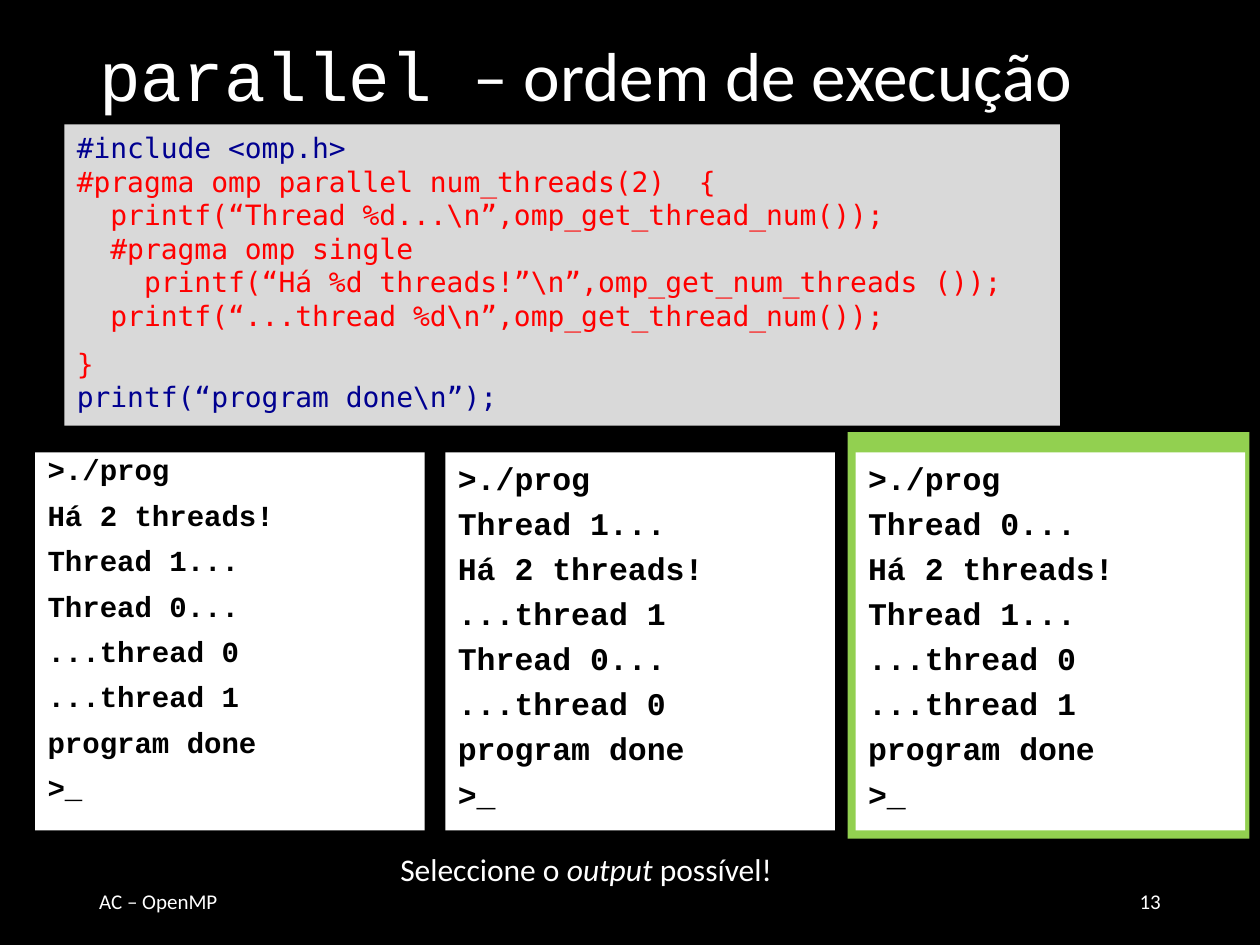
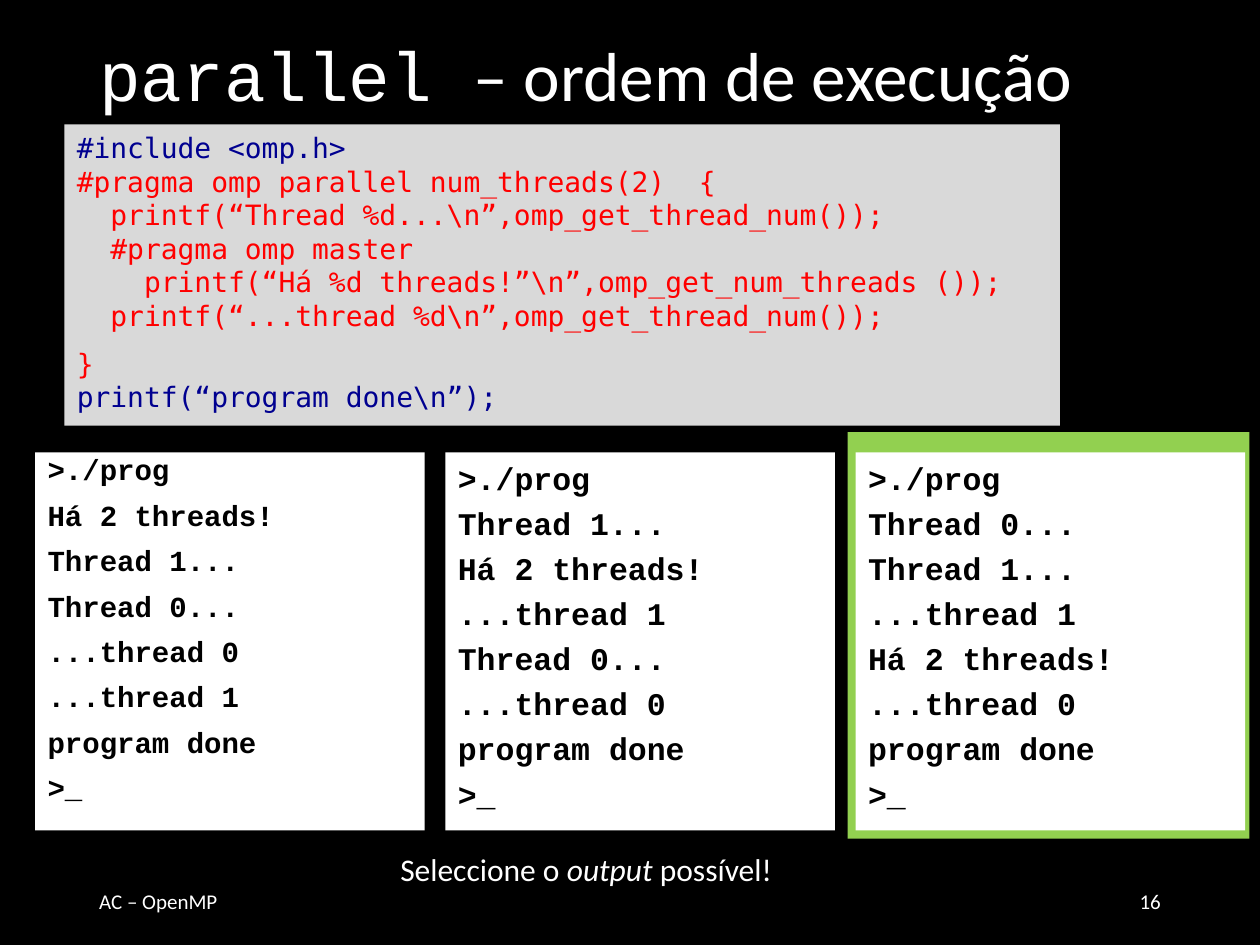
from pptx import Presentation
from pptx import util as u
from pptx.dml.color import RGBColor
from pptx.enum import shapes, text

BLACK = RGBColor(0x00, 0x00, 0x00)
WHITE = RGBColor(0xFF, 0xFF, 0xFF)
GREY = RGBColor(0xD9, 0xD9, 0xD9)
GREEN = RGBColor(0x92, 0xD0, 0x50)
NAVY = RGBColor(0x00, 0x00, 0x90)
RED = RGBColor(0xFF, 0x00, 0x00)

SANS, COURIER, MONO = "Calibri", "Courier New", "DejaVu Sans Mono"

# Content: page number, directive and output of the right-hand answer
SLIDES = [
    ("13", "single", ["Thread 0...", "Há 2 threads!", "Thread 1...",
                      "...thread 0", "...thread 1"]),
    ("16", "master", ["Thread 0...", "Thread 1...", "...thread 1",
                      "Há 2 threads!", "...thread 0"]),
]
WRONG_OUTPUTS = [
    ["Há 2 threads!", "Thread 1...", "Thread 0...", "...thread 0", "...thread 1"],
    ["Thread 1...", "Há 2 threads!", "...thread 1", "Thread 0...", "...thread 0"],
]
FIRST_LINE, LAST_LINES = ">./prog", ["program done", ">_"]
TITLE = [("parallel ", {"name": COURIER}), ("– ordem de execução", {"name": SANS})]
PROMPT = [("Seleccione o ", {}), ("output ", {"italic": True}), ("possível!", {})]
FOOTER = "AC – OpenMP"
# Paragraphs of (line, colour); lines within a paragraph are joined by breaks
CODE = [
    [("#include <omp.h>", NAVY),
     ("#pragma omp parallel num_threads(2)  {", RED),
     (r"  printf(“Thread %d...\n”,omp_get_thread_num());", RED),
     ("  #pragma omp {directive}", RED),
     (r"    printf(“Há %d threads!”\n”,omp_get_num_threads ());", RED),
     (r"  printf(“...thread %d\n”,omp_get_thread_num());", RED)],
    [("}", RED), (r"printf(“program done\n”);", NAVY)],
]

# Places (left, top, width, height) in cm
TITLE_AT = (1.75, 0.33, 21.89, 2.51)
CODE_AT = (1.3, 2.51, 20.07, 6.07)
FRAME_AT = (17.09, 8.71, 8.1, 8.2)
PROMPT_AT = (7.82, 17.02, 9.78, 1.12)
FOOTER_AT = (1.75, 17.65, 5.72, 1.02)
NUMBER_AT = (17.93, 17.65, 5.72, 1.02)
OUTPUT_LEFT, OUTPUT_STEP, OUTPUT_TOP = 0.71, 8.27, 9.12
OUTPUT_W, OUTPUT_H = 7.85, 7.62

# Paragraph formats of the output boxes: hanging indent in cm, size, spacing
TIGHT = {"hang": 0.64, "size": 16.6,
         "para": {"line_spacing": 0.8, "space_before": u.Pt(10)}}
LOOSE = {"hang": 0.95, "size": 18, "para": {"space_before": u.Pt(4.2)}}
OUTPUT_STYLES = [TIGHT, LOOSE, LOOSE]


def cm(at):
    return [u.Cm(v) for v in at]


def set_all(target, values):
    for name, value in values.items():
        setattr(target, name, value)


def add_run(p, words, size, color, **font):
    r = p.add_run()
    r.text = words
    set_all(r.font, {"size": u.Pt(size), **font})
    r.font.color.rgb = color


def add_box(s, at, color):
    sp = s.shapes.add_shape(shapes.MSO_SHAPE.RECTANGLE, *cm(at))
    sp.shadow.inherit = False
    sp.fill.solid()
    sp.fill.fore_color.rgb = color
    sp.line.fill.background()
    set_all(sp.text_frame, {"word_wrap": True,
                            "vertical_anchor": text.MSO_ANCHOR.TOP})
    return sp


def add_label(s, at, runs, size, align=text.PP_ALIGN.LEFT, **frame):
    tf = s.shapes.add_textbox(*cm(at)).text_frame
    set_all(tf, {"word_wrap": True, **frame})
    p = tf.paragraphs[0]
    p.alignment = align
    for words, font in runs:
        add_run(p, words, size, WHITE, name=SANS, **font)


def paragraphs(tf, count):
    """Yield left-aligned paragraphs, starting with the existing one."""
    for i in range(count):
        p = tf.add_paragraph() if i else tf.paragraphs[0]
        p.alignment = text.PP_ALIGN.LEFT
        yield p


def add_title(s):
    sp = s.shapes.title
    set_all(sp, dict(zip(("left", "top", "width", "height"), cm(TITLE_AT))))
    tf = sp.text_frame
    set_all(tf, {"word_wrap": True, "auto_size": text.MSO_AUTO_SIZE.NONE,
                 "vertical_anchor": text.MSO_ANCHOR.MIDDLE})
    set_all(tf.paragraphs[0], {"alignment": text.PP_ALIGN.LEFT, "line_spacing": 0.9})
    for words, font in TITLE:
        add_run(tf.paragraphs[0], words, 39.6, WHITE, **font)


def add_code(s, directive):
    tf = add_box(s, CODE_AT, GREY).text_frame
    tf.word_wrap = False
    for p, lines in zip(paragraphs(tf, len(CODE)), CODE):
        p.space_after = u.Pt(8)
        for i, (line, color) in enumerate(lines):
            if i:
                p.add_line_break()
            add_run(p, line.replace("{directive}", directive), 16, color, name=MONO)


def add_output(s, column, middle, style):
    left = OUTPUT_LEFT + column * OUTPUT_STEP
    tf = add_box(s, (left, OUTPUT_TOP, OUTPUT_W, OUTPUT_H), WHITE).text_frame
    lines = [FIRST_LINE, *middle, *LAST_LINES]
    hang = u.Cm(style["hang"])
    for p, line in zip(paragraphs(tf, len(lines)), lines):
        set_all(p, style["para"])
        pPr = p._p.get_or_add_pPr()
        pPr.set("marL", str(hang))
        pPr.set("indent", str(-hang))
        add_run(p, line, style["size"], BLACK, name=COURIER, bold=True)


def add_slide(prs, number, directive, right_output):
    s = prs.slides.add_slide(prs.slide_layouts[5])
    add_title(s)
    add_code(s, directive)
    # Green frame behind the possible output, then the three outputs
    add_box(s, FRAME_AT, GREEN)
    outputs = [*WRONG_OUTPUTS, right_output]
    for column, (middle, style) in enumerate(zip(outputs, OUTPUT_STYLES)):
        add_output(s, column, middle, style)
    # Prompt and footer
    add_label(s, PROMPT_AT, PROMPT, 18, word_wrap=False)
    middle_anchor = {"vertical_anchor": text.MSO_ANCHOR.MIDDLE}
    add_label(s, FOOTER_AT, [(FOOTER, {})], 12, **middle_anchor)
    add_label(s, NUMBER_AT, [(number, {})], 12, text.PP_ALIGN.RIGHT, **middle_anchor)


def main():
    prs = Presentation()
    prs.slide_width, prs.slide_height = u.Cm(25.4), u.Cm(19.05)
    background = prs.slide_master.background.fill
    background.solid()
    background.fore_color.rgb = BLACK
    for number, directive, right_output in SLIDES:
        add_slide(prs, number, directive, right_output)
    prs.save("out.pptx")


if __name__ == "__main__":
    main()
